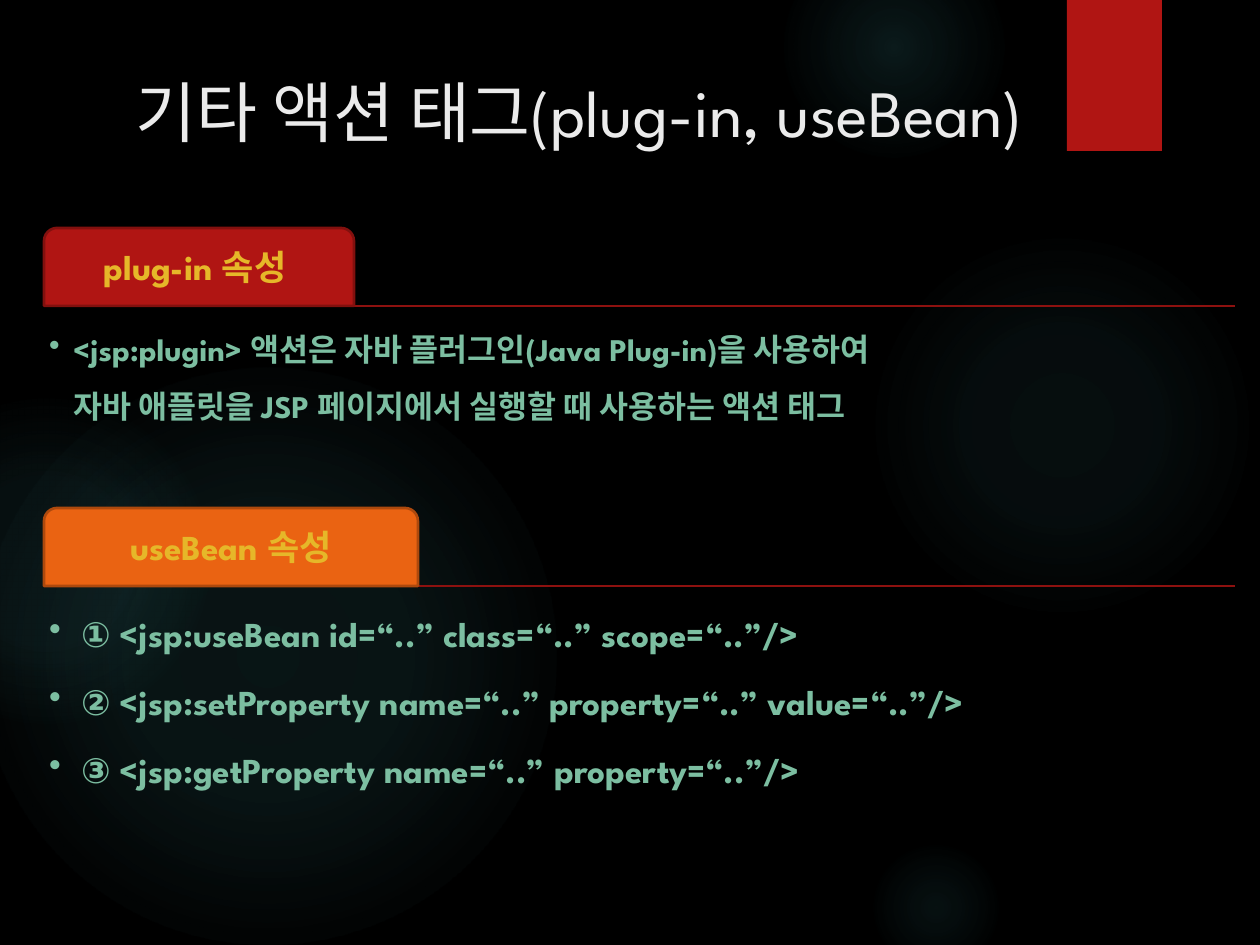
from lxml import etree
from pptx import Presentation
from pptx import util as u
from pptx.dml.color import RGBColor
from pptx.enum import shapes, text
from pptx.oxml import ns

PX = 914400 / 126
FONT = "League Spartan"
BLACK = RGBColor(0x00, 0x00, 0x00)
WHITE = RGBColor(0xEB, 0xEB, 0xEB)
RED = RGBColor(0xB0, 0x15, 0x13)
MAROON = RGBColor(0x82, 0x10, 0x0E)
RULE = RGBColor(0x8D, 0x11, 0x0F)
ORANGE = RGBColor(0xEA, 0x63, 0x12)
BROWN = RGBColor(0xAD, 0x49, 0x0D)
GOLD = RGBColor(0xE6, 0xB7, 0x29)
GREEN = RGBColor(0x7C, 0xBE, 0xA1)
TEAL = RGBColor(0x50, 0xB9, 0xC1)

# left, top, diameter, then (position, opacity) stops in percent
GLOWS = [
    (868, 231, 388, [(0, 7), (36, 6), (69, 0)]),
    (784, -63, 220, [(0, 14), (36, 7), (73, 0)]),
    (868, 840, 136, [(0, 9), (36, 5), (66, 0)]),
    (-21, 368, 577, [(0, 11), (36, 10), (75, 0)]),
    (-116, 399, 325, [(0, 8), (36, 8), (72, 0)]),
]

# tab text, rule height, tab width, fill, edge, body size, indent, body
PARTS = [
    ("plug-in 속성 ", 306, 310, RED, MAROON, 18, 24,
     ["<jsp:plugin> 액션은 자바 플러그인(Java Plug-in)을 사용하여 \v"
      "자바 애플릿을 JSP 페이지에서 실행할 때 사용하는 액션 태그"]),
    ("useBean 속성", 586, 374, ORANGE, BROWN, 20, 32,
     ["① <jsp:useBean id=“..” class=“..” scope=“..”/>",
      "② <jsp:setProperty name=“..” property=“..” value=“..”/>",
      "③ <jsp:getProperty name=“..” property=“..”/>"]),
]
LEFT, WIDE, TAB = 44, 1191, 78


def px(n):
    return u.Emu(round(n * PX))


def add(tag, parent, **attrs):
    return etree.SubElement(parent, ns.qn(tag), attrs)


def shape(slide, kind, box, fill=None, edge=None):
    item = slide.shapes.add_shape(kind, *map(px, box))
    item.shadow.inherit = False
    if fill is not None:
        item.fill.solid()
        item.fill.fore_color.rgb = fill
    if edge is None:
        item.line.fill.background()
    else:
        item.line.color.rgb = edge
        item.line.width = u.Pt(1.5)
    return item


def glow(slide, left, top, size, stops):
    item = shape(slide, shapes.MSO_SHAPE.OVAL, (left, top, size, size))
    grad = etree.Element(ns.qn("a:gradFill"), rotWithShape="1")
    marks = add("a:gsLst", grad)
    for pos, alpha in stops:
        mark = add("a:gs", marks, pos=str(pos * 1000))
        color = add("a:srgbClr", mark, val=str(TEAL))
        add("a:alpha", color, val=str(alpha * 1000))
    way = add("a:path", grad, path="circle")
    add("a:fillToRect", way, l="50000", t="50000", r="50000", b="50000")
    item._element.spPr.find(ns.qn("a:prstGeom")).addnext(grad)


def rule(slide, y):
    line = slide.shapes.add_connector(
        shapes.MSO_CONNECTOR.STRAIGHT, px(LEFT), px(y), px(LEFT + WIDE), px(y))
    line.line.color.rgb = RULE
    line.line.width = u.Pt(1.5)
    add("a:effectLst", line._element.spPr)


def write(slide, box, lines, size, color, bold=True, inset=5):
    frame = slide.shapes.add_textbox(*map(px, box)).text_frame
    frame.word_wrap = True
    frame.margin_left = frame.margin_right = px(inset)
    frame.margin_top = frame.margin_bottom = px(5)
    for i, words in enumerate(lines):
        para = frame.paragraphs[0] if i == 0 else frame.add_paragraph()
        para.text = words
        para.font.name = FONT
        para.font.size = u.Pt(size)
        para.font.bold = bold
        para.font.color.rgb = color
    return frame


def label(slide, box, words):
    frame = write(slide, box, [words], 20, GOLD)
    frame.vertical_anchor = text.MSO_ANCHOR.MIDDLE
    para = frame.paragraphs[0]
    para.alignment = text.PP_ALIGN.CENTER
    para.line_spacing = 0.9


def bullets(slide, box, lines, size, indent):
    for para in write(slide, box, lines, size, GREEN).paragraphs:
        para.level = 1
        para.line_spacing = 1.5
        para.space_after = u.Pt(3)
        props = para._p.get_or_add_pPr()
        props.set("marL", str(px(indent)))
        props.set("indent", str(-px(indent)))
        mark = etree.Element(ns.qn("a:buChar"), char="•")
        props.find(ns.qn("a:spcAft")).addnext(mark)


def part(slide, name, y, width, fill, edge, size, indent, lines):
    box = LEFT, y - TAB, width, TAB
    tab = shape(slide, shapes.MSO_SHAPE.ROUND_2_SAME_RECTANGLE, box, fill, edge)
    tab.adjustments[0] = 0.167
    label(slide, (LEFT + 4, y - TAB + 4, width - 8, TAB - 4), name)
    bullets(slide, (LEFT, y, WIDE, 184), lines, size, indent)


def main():
    deck = Presentation()
    deck.slide_width, deck.slide_height = px(1260), px(945)
    slide = deck.slides.add_slide(deck.slide_layouts[6])

    # Backdrop
    slide.background.fill.solid()
    slide.background.fill.fore_color.rgb = BLACK
    for spot in GLOWS:
        glow(slide, *spot)
    shape(slide, shapes.MSO_SHAPE.RECTANGLE, (1067, 0, 95, 151), RED)

    # Title
    write(slide, (123, 66, 973, 78), ["기타 액션 태그(plug-in, useBean)"],
          37.8, WHITE, bold=False, inset=13)

    # Tabbed sections, drawn over their rules
    for item in PARTS:
        rule(slide, item[1])
    for item in PARTS:
        part(slide, *item)

    deck.save("out.pptx")


if __name__ == "__main__":
    main()
